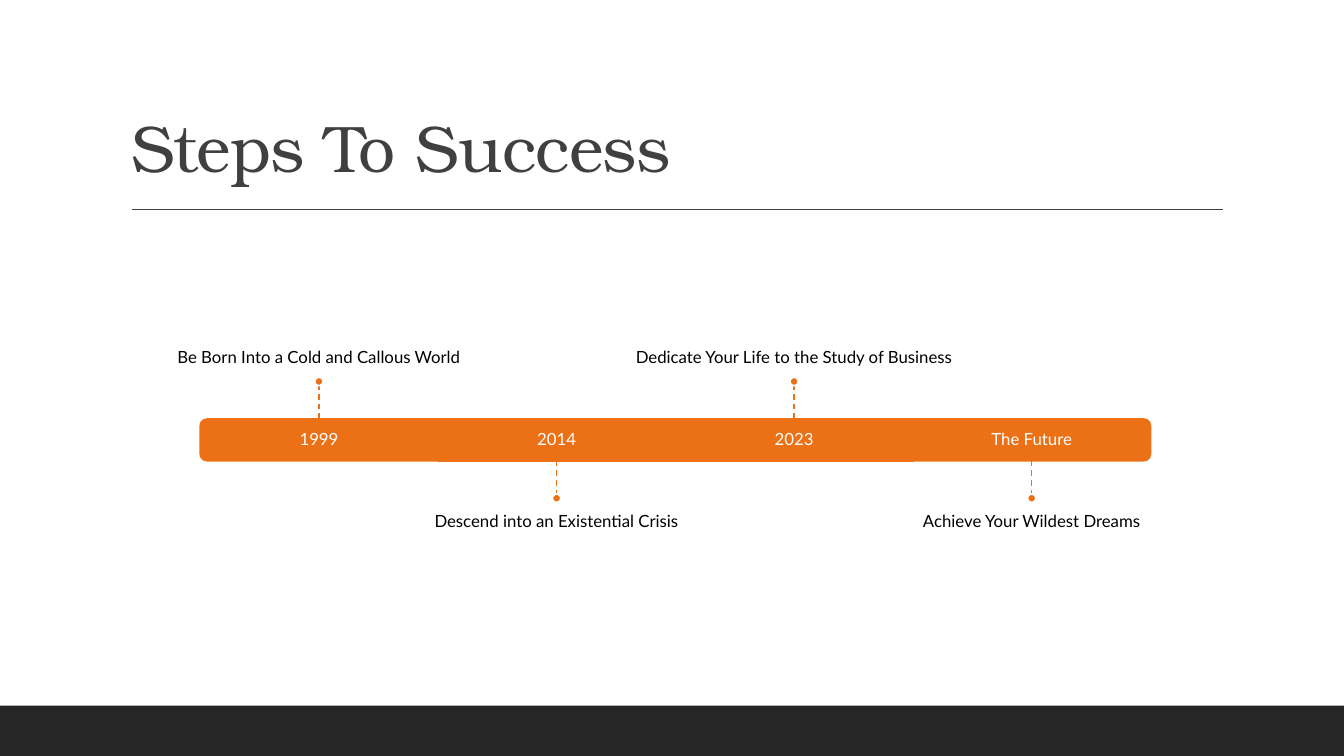
from pptx import Presentation
from pptx.dml.color import RGBColor
from pptx.enum import dml, shapes, text
from pptx.oxml import ns, xmlchemy
from pptx.util import Pt

COLORS = {
    "band": "262626",
    "title": "404040",
    "accent": "EC7016",
    "white": "FFFFFF",
    "black": "000000",
}
MILESTONES = [
    ("1999", "Be Born Into a Cold and Callous World"),
    ("2014", "Descend into an Existential Crisis"),
    ("2023", "Dedicate Your Life to the Study of Business"),
    ("The Future", "Achieve Your Wildest Dreams"),
]


def color(key):
    return RGBColor.from_string(COLORS[key])


def write(frame, words, size=12, font="Lato", ink="black",
          align=text.PP_ALIGN.CENTER, anchor=text.MSO_ANCHOR.MIDDLE,
          insets=(7.2, 7.2, 7.2, 7.2), after=4.2, spacing=0):
    frame.word_wrap = True
    frame.auto_size = text.MSO_AUTO_SIZE.NONE
    frame.vertical_anchor = anchor
    (frame.margin_left, frame.margin_top,
     frame.margin_right, frame.margin_bottom) = map(Pt, insets)
    paragraph = frame.paragraphs[0]
    paragraph.alignment = align
    paragraph.line_spacing = 0.9
    paragraph.space_before = Pt(0)
    paragraph.space_after = Pt(after)
    run = paragraph.add_run()
    run.text = words
    run.font.size = Pt(size)
    run.font.name = font
    run.font.color.rgb = color(ink)
    if spacing:
        run._r.get_or_add_rPr().set("spc", str(round(spacing * 100)))


def add_block(slide, kind, box, fill, outline=None):
    block = slide.shapes.add_shape(kind, *map(Pt, box))
    block.shadow.inherit = False
    block.fill.solid()
    block.fill.fore_color.rgb = color(fill)
    if outline:
        block.line.color.rgb = color(outline)
        block.line.width = Pt(1.25)
    else:
        block.line.fill.background()
    return block


def add_line(slide, start, end, ink, dash=None):
    line = slide.shapes.add_connector(
        shapes.MSO_CONNECTOR.STRAIGHT, *map(Pt, (*start, *end)))
    line.line.color.rgb = color(ink)
    line.line.width = Pt(1)
    if dash:
        line.line.dash_style = dash
    line._element.spPr.append(xmlchemy.OxmlElement("a:effectLst"))
    return line


def add_header(slide, box):
    left, top, width, height = box
    title = slide.shapes.title
    title.left, title.top, title.width, title.height = map(Pt, box)
    write(title.text_frame, "Steps To Success", size=47, font="TeX Gyre Bonum",
          ink="title", align=text.PP_ALIGN.LEFT, anchor=text.MSO_ANCHOR.BOTTOM,
          insets=(7.2, 3.6, 7.2, 3.6), after=0, spacing=-0.5)
    rule_y = top + height + 13
    add_line(slide, (left + 8, rule_y), (left + width - 5, rule_y), "title")


def add_footer(slide, box):
    add_block(slide, shapes.MSO_SHAPE.RECTANGLE, box, "band")


def add_segment(slide, box, rotation):
    left, top, width, height = box
    if rotation is None:
        return add_block(slide, shapes.MSO_SHAPE.RECTANGLE, box, "accent", "accent")
    upright = (left + (width - height) / 2, top + (height - width) / 2, height, width)
    end = add_block(slide, shapes.MSO_SHAPE.ROUND_2_SAME_RECTANGLE,
                    upright, "accent", "accent")
    end.rotation = rotation
    return end


def add_milestone(slide, box, date, event, above, rotation):
    left, top, width, height = box
    center = left + width / 2
    segment = add_segment(slide, box, rotation)
    date_box = slide.shapes.add_textbox(*map(Pt, box))
    write(date_box.text_frame, date, ink="white")

    stem, dot, label_width, label_height = 23.8, 6, 283, 104.4
    if above:
        edge, direction, site = top, -1, 0
        dot_top = edge - stem - dot
        label_top = dot_top - label_height
        anchor, insets = text.MSO_ANCHOR.BOTTOM, (0, 0, 0, 7.2)
    else:
        edge, direction, site = top + height, 1, 2
        dot_top = edge + stem
        label_top = dot_top + dot
        anchor, insets = text.MSO_ANCHOR.TOP, (0, 7.2, 0, 0)

    event_box = slide.shapes.add_textbox(*map(Pt, (
        center - label_width / 2, label_top, label_width, label_height)))
    write(event_box.text_frame, event, anchor=anchor, insets=insets)
    stem_line = add_line(slide, (center, edge), (center, edge + direction * stem),
                         "accent", dml.MSO_LINE.DASH)
    if rotation is None:
        stem_line.begin_connect(segment, site)
    add_block(slide, shapes.MSO_SHAPE.OVAL,
              (center - dot / 2, dot_top, dot, dot), "accent", "white")


def add_timeline(slide, box):
    left, top, width, height = box
    step = width / len(MILESTONES)
    end_rotations = {0: 270, len(MILESTONES) - 1: 90}
    for index, (date, event) in enumerate(MILESTONES):
        add_milestone(slide, (left + index * step, top, step, height), date, event,
                      above=index % 2 == 0, rotation=end_rotations.get(index))


def main():
    deck = Presentation()
    deck.slide_width, deck.slide_height = Pt(960), Pt(540)
    slide = deck.slides.add_slide(deck.slide_layouts[5])
    add_footer(slide, (0, 504, 960, 36))
    add_header(slide, (86.4, 22.5, 792, 114.2))
    add_timeline(slide, (143, 299.3, 678.8, 29.8))
    deck.save("out.pptx")


if __name__ == "__main__":
    main()
